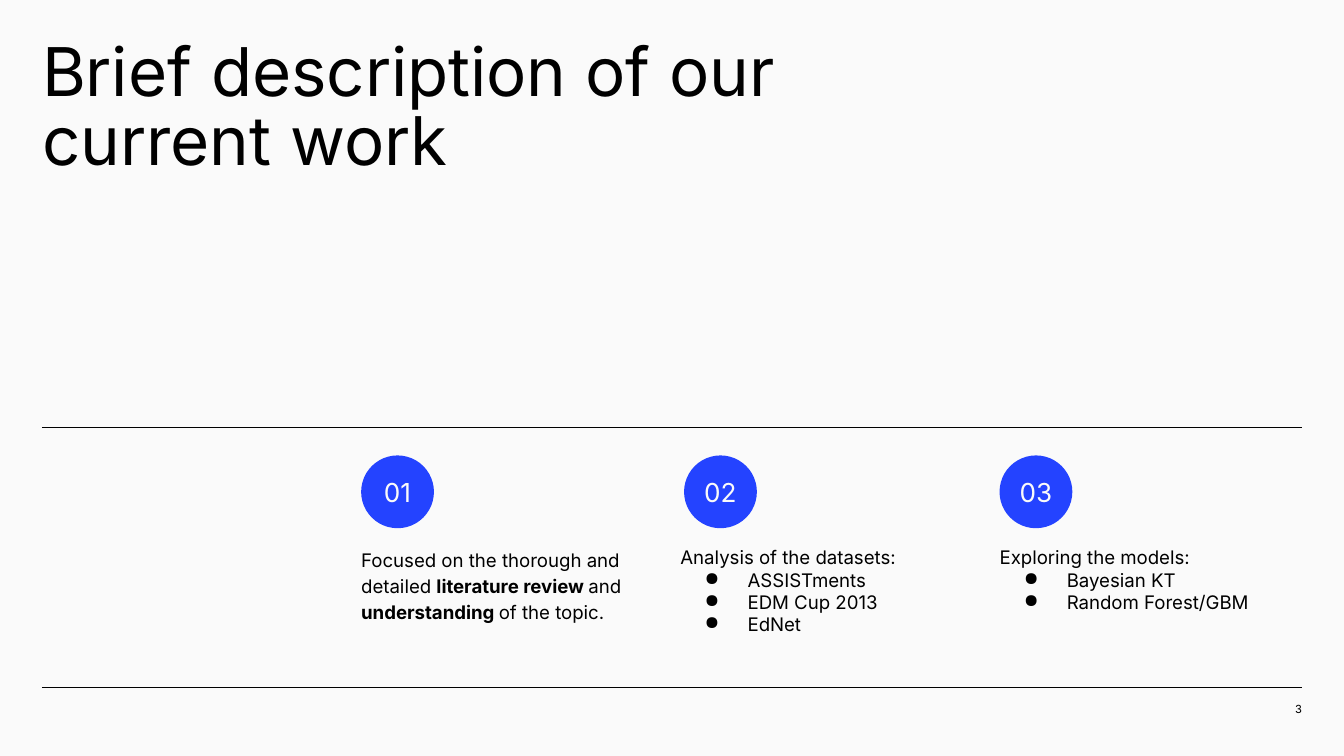
from lxml.etree import SubElement
from pptx import Presentation
from pptx.dml.color import RGBColor
from pptx.enum.shapes import MSO_CONNECTOR, MSO_SHAPE
from pptx.enum.text import MSO_ANCHOR, MSO_AUTO_SIZE, PP_ALIGN
from pptx.oxml.ns import qn
from pptx.util import Pt

TITLE = "Brief description of our current work"
PAGE_NUMBER = "3"
STEPS = [
    {"number": "01", "badge_shift": 0, "spacing": 1.15, "bullets": [],
     "lead": [("Focused on the thorough and detailed ", False),
              ("literature review ", True), ("and ", False),
              ("understanding ", True), ("of the topic.", False)]},
    {"number": "02", "badge_shift": 2, "spacing": 1.0,
     "lead": [("Analysis of the datasets:", False)],
     "bullets": ["ASSISTments", "EDM Cup 2013", "EdNet"]},
    {"number": "03", "badge_shift": 0, "spacing": 1.0,
     "lead": [("Exploring the models:", False)],
     "bullets": ["Bayesian KT", "Random Forest/GBM"]},
]

FONT = "Inter"
INK, PAPER, ACCENT = "000000", "FAFAFA", "2443FF"
WIDTH, HEIGHT, MARGIN = 720, 405, 22.5
RIGHT = WIDTH - MARGIN
FIRST_STEP, STEP_PITCH, STEP_WIDTH = 193.5, 171, 162
BADGE_TOP, BADGE_SIZE = 244, 39
STEP_TOP, STEP_HEIGHT = 292.5, 57.5
RULES = [229, 368.5]


def color(value):
    return RGBColor.from_string(value)


def prepare(frame, anchor=MSO_ANCHOR.TOP):
    frame.margin_left = frame.margin_top = 0
    frame.margin_right = frame.margin_bottom = 0
    frame.word_wrap = True
    frame.auto_size = MSO_AUTO_SIZE.NONE
    frame.vertical_anchor = anchor
    return frame


def write(paragraph, runs, size, ink=INK, align=PP_ALIGN.LEFT, spacing=1.0):
    paragraph.alignment = align
    paragraph.line_spacing = spacing
    for text, bold in runs:
        run = paragraph.add_run()
        run.text = text
        run.font.name = FONT
        run.font.size = Pt(size)
        run.font.bold = bold
        run.font.color.rgb = color(ink)


def add_bullet(paragraph):
    properties = paragraph._p.get_or_add_pPr()
    properties.set("marL", str(Pt(36)))
    properties.set("indent", str(Pt(-23)))
    SubElement(properties, qn("a:buChar"), char="●")


def add_text(slide, left, top, width, height):
    box = slide.shapes.add_textbox(Pt(left), Pt(top), Pt(width), Pt(height))
    return prepare(box.text_frame)


def add_title(slide):
    title = slide.shapes.title
    title.left, title.top = Pt(MARGIN), Pt(MARGIN)
    title.width, title.height = Pt(447), Pt(74)
    frame = prepare(title.text_frame)
    write(frame.paragraphs[0], [(TITLE, False)], 36, spacing=0.85)


def add_step(slide, left, step):
    badge = slide.shapes.add_shape(
        MSO_SHAPE.OVAL, Pt(left + step["badge_shift"]), Pt(BADGE_TOP),
        Pt(BADGE_SIZE), Pt(BADGE_SIZE))
    badge.shadow.inherit = False
    badge.fill.solid()
    badge.fill.fore_color.rgb = color(ACCENT)
    badge.line.fill.background()
    number = prepare(badge.text_frame, MSO_ANCHOR.MIDDLE).paragraphs[0]
    write(number, [(step["number"], False)], 14, PAPER, PP_ALIGN.CENTER)

    frame = add_text(slide, left, STEP_TOP, STEP_WIDTH, STEP_HEIGHT)
    write(frame.paragraphs[0], step["lead"], 10, spacing=step["spacing"])
    for item in step["bullets"]:
        paragraph = frame.add_paragraph()
        write(paragraph, [(item, False)], 10, spacing=step["spacing"])
        add_bullet(paragraph)


def add_rule(slide, y):
    rule = slide.shapes.add_connector(
        MSO_CONNECTOR.STRAIGHT, Pt(MARGIN), Pt(y), Pt(RIGHT), Pt(y))
    rule.line.color.rgb = color(INK)
    rule.line.width = Pt(0.75)
    SubElement(rule._element.spPr, qn("a:effectLst"))


def main():
    deck = Presentation()
    deck.slide_width, deck.slide_height = Pt(WIDTH), Pt(HEIGHT)
    slide = deck.slides.add_slide(deck.slide_layouts[5])
    slide.background.fill.solid()
    slide.background.fill.fore_color.rgb = color(PAPER)

    add_title(slide)
    for index, step in enumerate(STEPS):
        add_step(slide, FIRST_STEP + index * STEP_PITCH, step)
    for y in RULES:
        add_rule(slide, y)
    page = add_text(slide, RIGHT - 43, 376.5, 43, 6)
    write(page.paragraphs[0], [(PAGE_NUMBER, False)], 6, align=PP_ALIGN.RIGHT)
    deck.save("out.pptx")


if __name__ == "__main__":
    main()
